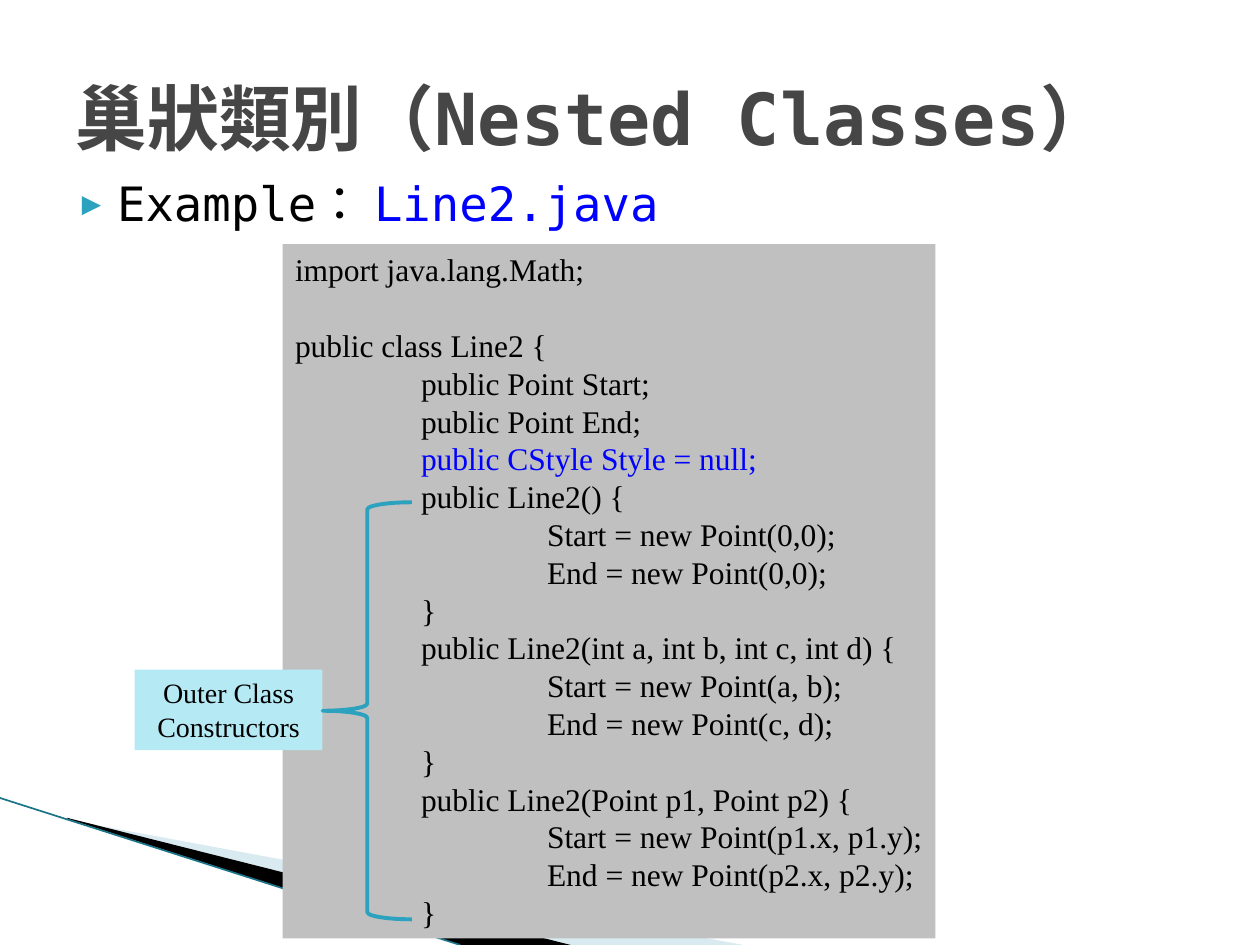
"""Build the nested classes slide with its code listing."""
from lxml import etree
from pptx import Presentation
from pptx.dml.color import RGBColor
from pptx.enum.shapes import MSO_CONNECTOR, MSO_SHAPE
from pptx.enum.text import MSO_ANCHOR, MSO_AUTO_SIZE, PP_ALIGN
from pptx.oxml.ns import qn
from pptx.util import Pt

RECT, BRACE = MSO_SHAPE.RECTANGLE, MSO_SHAPE.LEFT_BRACE
LINE = MSO_CONNECTOR.STRAIGHT
TOP, MIDDLE = MSO_ANCHOR.TOP, MSO_ANCHOR.MIDDLE
LEFT, CENTER = PP_ALIGN.LEFT, PP_ALIGN.CENTER
FIXED = MSO_AUTO_SIZE.NONE
MONO, SERIF = "DejaVu Sans Mono", "Times New Roman"
COLORS = {
    "black": "000000", "blue": "0000FF", "title": "464646", "teal": "2DA2BF",
    "code": "C0C0C0", "label": "B5E9F4", "pale": "A0CBDC", "edge": "1A7387",
}
FIELD = "public CStyle Style = null;"
CODE = """import java.lang.Math;

public class Line2 {
\tpublic Point Start;
\tpublic Point End;
\tpublic CStyle Style = null;
\tpublic Line2() {
\t\tStart = new Point(0,0);
\t\tEnd = new Point(0,0);
\t}
\tpublic Line2(int a, int b, int c, int d) {
\t\tStart = new Point(a, b);
\t\tEnd = new Point(c, d);
\t}
\tpublic Line2(Point p1, Point p2) {
\t\tStart = new Point(p1.x, p1.y);
\t\tEnd = new Point(p2.x, p2.y);
\t}"""


def color(name):
    return RGBColor.from_string(COLORS[name])


def sub(node, tag, **attrs):
    return etree.SubElement(node, qn(tag), attrs)


def paint(shape, fill=None, line=None, width=1):
    shape.shadow.inherit = False
    if fill:
        shape.fill.solid()
        shape.fill.fore_color.rgb = color(fill)
    else:
        shape.fill.background()
    if line:
        shape.line.color.rgb = color(line)
        shape.line.width = Pt(width)
    else:
        shape.line.fill.background()


def dot(props):
    props.set("marL", str(Pt(28.8)))
    props.set("indent", str(Pt(-20.16)))
    sub(sub(props, "a:buClr"), "a:srgbClr", val=COLORS["teal"])
    sub(props, "a:buSzPct", val="68000")
    sub(props, "a:buFont", typeface=MONO)
    sub(props, "a:buChar", char="▶")


def write(shape, text, size=18, font=SERIF, tint="black", bold=False,
          align=LEFT, anchor=TOP, wrap=True, marks=(), tabs=(),
          point=False, lang="en-US"):
    frame = shape.text_frame
    frame.word_wrap, frame.auto_size = wrap, FIXED
    frame.vertical_anchor = anchor
    for i, row in enumerate(text.split("\n")):
        para = frame.add_paragraph() if i else frame.paragraphs[0]
        para.alignment = align
        props = para._p.get_or_add_pPr()
        if point:
            para.line_spacing = 0.9
            dot(props)
        if tabs:
            stops = sub(props, "a:tabLst")
            for stop in tabs:
                sub(stops, "a:tab", pos=str(Pt(stop)), algn="l")
        para.font.size = Pt(size)
        mark = next((m for m in marks if m in row), "")
        for part, hue in ((row.removesuffix(mark), tint), (mark, "blue")):
            if part:
                run = para.add_run()
                run.text = part
                run.font.size, run.font.name = Pt(size), font
                run.font.bold = bold
                run.font.color.rgb = color(hue)
                run._r.get_or_add_rPr().set("lang", lang)


def box(slide, area, fill, text, **style):
    shape = slide.shapes.add_shape(RECT, *map(Pt, area))
    paint(shape, fill)
    write(shape, text, **style)


def wedge(slide, points, fill, alpha=None):
    start, *rest = [(x * 10, y * 10) for x, y in points]
    pen = slide.shapes.build_freeform(*start, scale=Pt(0.1))
    pen.add_line_segments(rest)
    shape = pen.convert_to_shape()
    paint(shape, fill)
    if alpha:
        tone = shape.fill._xPr.find(".//" + qn("a:srgbClr"))
        sub(tone, "a:alpha", val=str(alpha * 1000))


def edge(slide, ends):
    line = slide.shapes.add_connector(LINE, *map(Pt, ends))
    line.line.color.rgb = color("edge")
    line.line.width = Pt(0.95)
    sub(line._element.spPr, "a:effectLst")


def title(slide):
    head = slide.shapes.title
    head.left, head.top, head.width, head.height = map(Pt, (36, 21.6, 648, 90))
    write(head, "巢狀類別（Nested Classes）", size=41, font=MONO, tint="title",
          bold=True, anchor=MIDDLE, lang="zh-TW")


def bullet(slide):
    area = slide.shapes.add_textbox(*map(Pt, (31, 99.5, 671, 39.6)))
    write(area, "Example： Line2.java", size=27, font=MONO,
          marks=["Line2.java"], point=True, lang="zh-TW")


def brace(slide):
    shape = slide.shapes.add_shape(BRACE, *map(Pt, (184.3, 287, 51.1, 238.3)))
    shape.adjustments[0], shape.adjustments[1] = 0.08, 0.5
    paint(shape, line="teal", width=2.25)


def main():
    deck = Presentation()
    deck.slide_width, deck.slide_height = Pt(720), Pt(540)
    slide = deck.slides.add_slide(deck.slide_layouts[5])
    wedge(slide, [(39.6, 468.7), (424.7, 540), (325.5, 540), (39.6, 468)],
          "pale", alpha=40)
    wedge(slide, [(38.2, 467.3), (326.2, 540), (263.4, 540), (38.9, 468)],
          "black")
    edge(slide, (0, 456, 263, 540))
    bullet(slide)
    title(slide)
    box(slide, (161.5, 139.5, 373, 396.7), "code", CODE, wrap=False,
        marks=[FIELD], tabs=(72, 144))
    box(slide, (77, 382.7, 107.3, 46), "label", "Outer Class Constructors",
        size=16, align=CENTER)
    brace(slide)
    deck.save("out.pptx")


if __name__ == "__main__":
    main()
